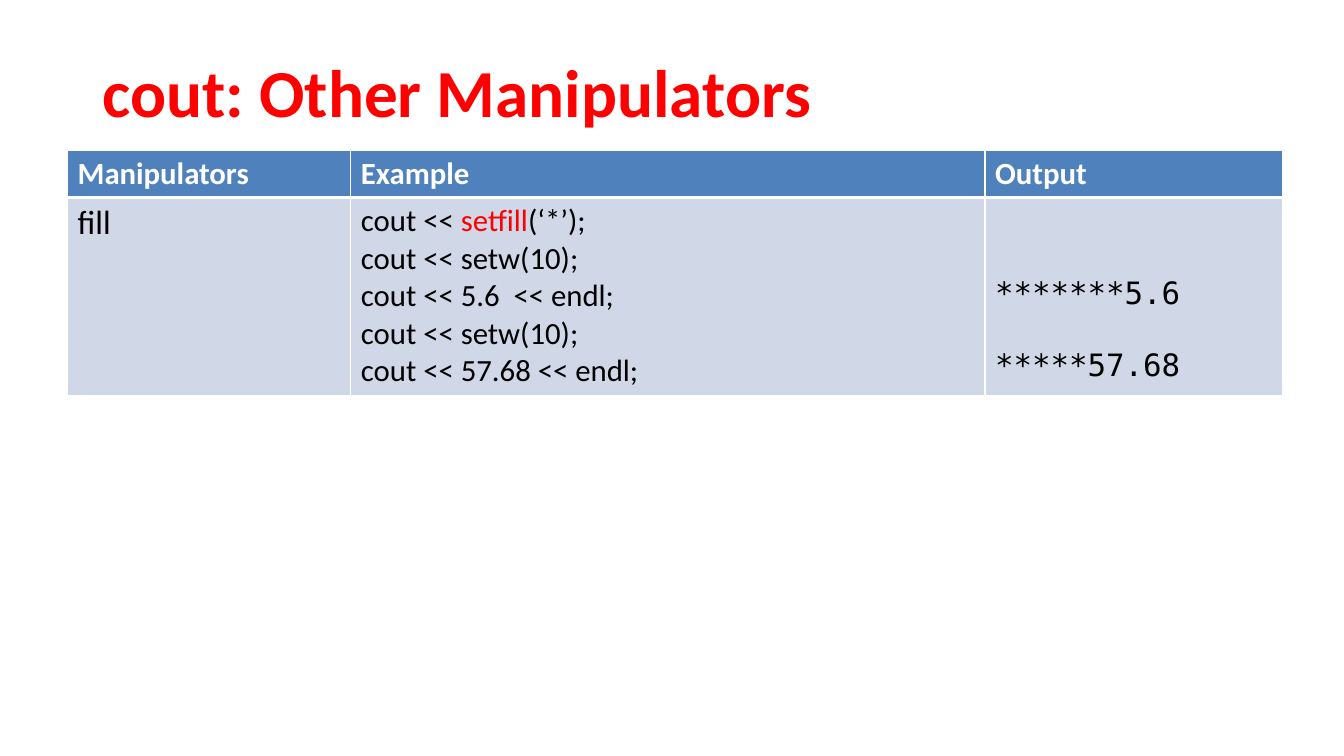
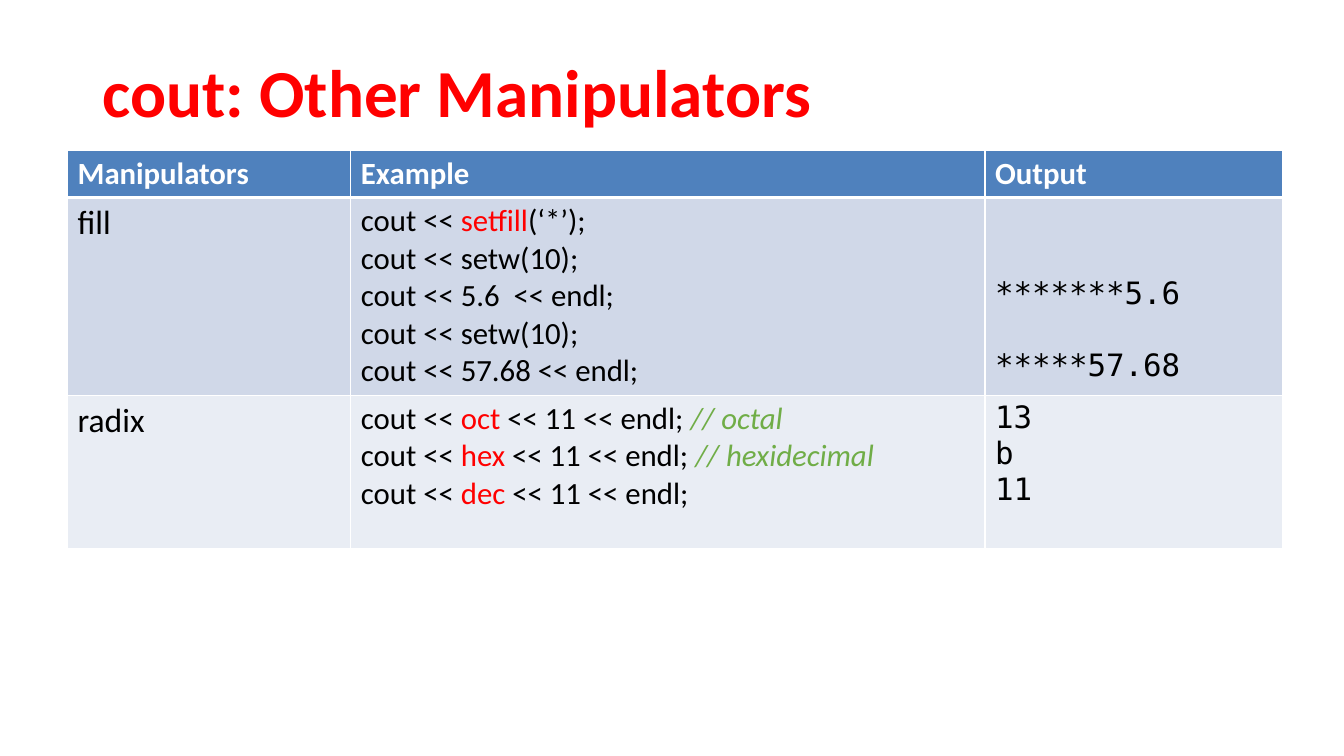
import pptx
import pptx.dml.color
import pptx.enum.text
import pptx.oxml
import pptx.oxml.ns
import pptx.util
from pptx.util import Inches

# Shared style
RED, GREEN, BLACK, WHITE = "FF0000", "70AD47", "000000", "FFFFFF"
HEADER_FILL, BAND_FILLS = "4F81BD", ("D0D8E8", "E9EDF4")
SANS, MONO = "Calibri", "DejaVu Sans Mono"
THIN, THICK = 1, 3

# Shared table layout
COLUMN_WIDTHS = (2.81, 6.29, 2.95)
HEADER_HEIGHT = 0.47
HEADINGS = ("Manipulators", "Example", "Output")


def keyword(text):
    return text, RED, False


def comment(text):
    return text, GREEN, True


# Each line is a list of spans; an output line is (text, space before in points)
FILL_ROW = {
    "name": "fill",
    "height": 1.96,
    "code": [
        ["cout << ", keyword("setfill"), "(‘*’);"],
        ["cout << setw(10);"],
        ["cout << 5.6  << endl;"],
        ["cout << setw(10);"],
        ["cout << 57.68 << endl;"],
    ],
    "output": [("*******5.6", 0), ("*****57.68", 26)],
    "output_top": 0.78,
}
RADIX_ROW = {
    "name": "radix",
    "height": 1.52,
    "code": [
        ["cout << ", keyword("oct "), "<< 11 << endl; ", comment("// octal")],
        ["cout << ", keyword("hex"), " << 11 << endl; ", comment("// hexidecimal")],
        ["cout << ", keyword("dec "), "<< 11 << endl;"],
    ],
    "output": [("13", 0), ("b", 0), ("11", 0)],
    "output_top": 0.05,
}


def rgb(value):
    return pptx.dml.color.RGBColor.from_string(value)


def style_font(font, size, color, name=SANS, bold=False):
    font.name = name
    font.size = pptx.util.Pt(size)
    font.bold = bold
    font.color.rgb = rgb(color)


def write_lines(frame, lines, size, color=BLACK, name=SANS, bold=False):
    """Write one paragraph per line; coloured spans override its font."""
    for index, line in enumerate(lines):
        para = frame.paragraphs[0] if index == 0 else frame.add_paragraph()
        style_font(para.font, size, color, name, bold)
        for part in line:
            span = para.add_run()
            if isinstance(part, str):
                span.text = part
            else:
                span.text, span_color, span.font.italic = part
                span.font.color.rgb = rgb(span_color)


def add_title(page, text):
    box = page.shapes.add_textbox(Inches(0.92), Inches(0.4), Inches(11.5), Inches(1.1))
    frame = box.text_frame
    frame.word_wrap = True
    frame.vertical_anchor = pptx.enum.text.MSO_ANCHOR.MIDDLE
    write_lines(frame, [[text]], 48, RED, bold=True)
    frame.paragraphs[0].line_spacing = 0.9


def paint_cell(cell, fill, top=THIN, bottom=THIN):
    """Give a cell white borders and a solid fill."""
    properties = cell._tc.get_or_add_tcPr()
    for side, width in (("L", THIN), ("R", THIN), ("T", top), ("B", bottom)):
        properties.append(pptx.oxml.parse_xml(
            f'<a:ln{side} {pptx.oxml.ns.nsdecls("a")} w="{pptx.util.Pt(width)}">'
            f'<a:solidFill><a:srgbClr val="{WHITE}"/></a:solidFill></a:ln{side}>'))
    cell.fill.solid()
    cell.fill.fore_color.rgb = rgb(fill)


def fill_row(cells, row):
    name_cell, code_cell, output_cell = cells
    write_lines(name_cell.text_frame, [[row["name"]]], 24)
    write_lines(code_cell.text_frame, row["code"], 22)
    output_cell.margin_top = Inches(row["output_top"])
    write_lines(output_cell.text_frame, [[text] for text, _ in row["output"]], 22, name=MONO)
    for para, (_, space) in zip(output_cell.text_frame.paragraphs, row["output"]):
        para.space_before = pptx.util.Pt(space)


def add_manipulator_table(page, rows):
    heights = [HEADER_HEIGHT] + [row["height"] for row in rows]
    table = page.shapes.add_table(
        len(heights), len(COLUMN_WIDTHS), Inches(0.67), Inches(1.49),
        Inches(sum(COLUMN_WIDTHS)), Inches(sum(heights))).table
    table.horz_banding = False
    for column, width in zip(table.columns, COLUMN_WIDTHS):
        column.width = Inches(width)
    for table_row, height in zip(table.rows, heights):
        table_row.height = Inches(height)

    # Header
    for cell, heading in zip(table.rows[0].cells, HEADINGS):
        paint_cell(cell, HEADER_FILL, bottom=THICK)
        write_lines(cell.text_frame, [[heading]], 22, WHITE, bold=True)

    # Body
    for index, row in enumerate(rows):
        cells = list(table.rows[index + 1].cells)
        for cell in cells:
            paint_cell(cell, BAND_FILLS[index % 2], top=THIN if index else THICK)
        fill_row(cells, row)


def main():
    deck = pptx.Presentation()
    deck.slide_width, deck.slide_height = Inches(13.33), Inches(7.5)
    for rows in ([FILL_ROW], [FILL_ROW, RADIX_ROW]):
        page = deck.slides.add_slide(deck.slide_layouts[6])
        add_title(page, "cout: Other Manipulators")
        add_manipulator_table(page, rows)
    deck.save("out.pptx")


if __name__ == "__main__":
    main()
